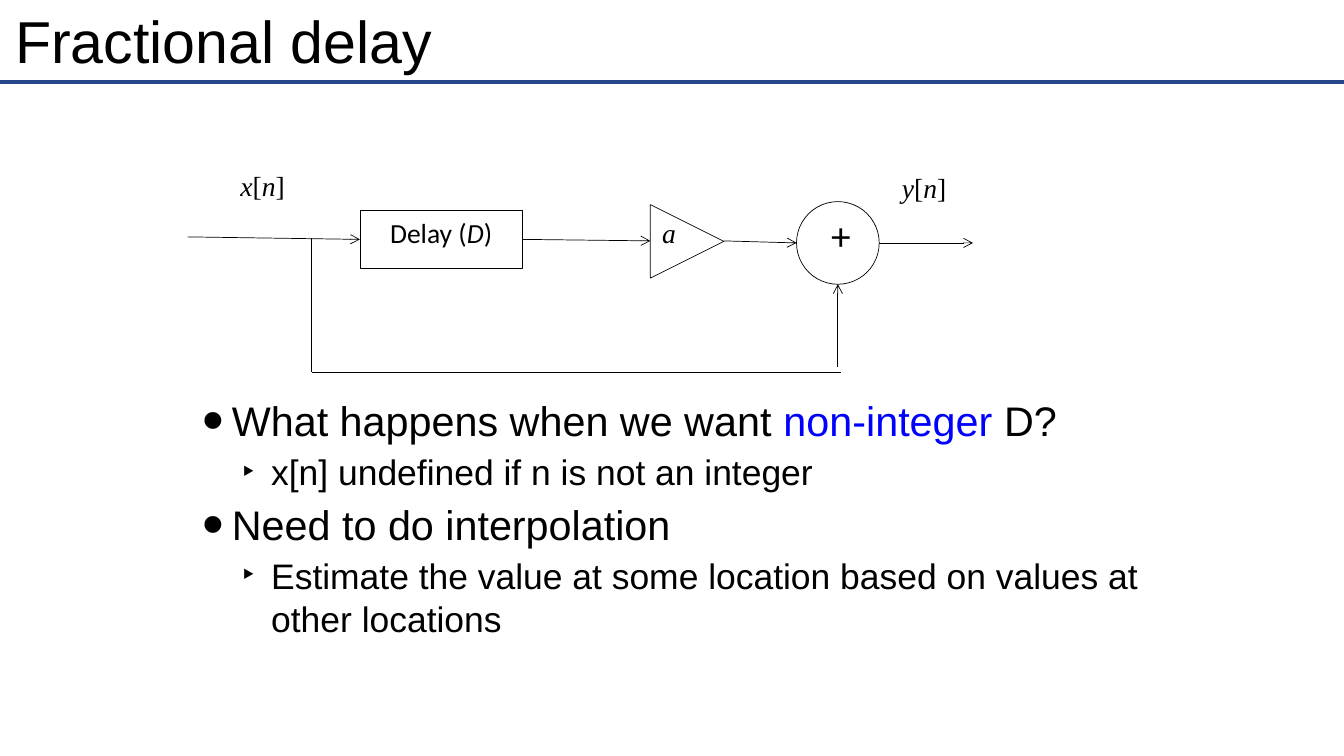
from lxml import etree
from pptx import Presentation
from pptx.dml.color import RGBColor
from pptx.enum import shapes, text
from pptx.oxml import ns
from pptx.util import Inches, Pt

BLACK, BLUE, RULE = "000000", "0000FF", "254789"
SERIF, SANS, BODY = "Times New Roman", "Calibri", "Arial"


def write_runs(paragraph, parts, size, font):
    """Add (text, italic, colour) parts to the paragraph as formatted runs."""
    for words, italic, colour in parts:
        run = paragraph.add_run()
        run.text = words
        run.font.size = Pt(size)
        run.font.name = font
        run.font.italic = italic
        run.font.color.rgb = RGBColor.from_string(colour)


def add_line(start, end, colour=BLACK, width=0.5, arrow=True):
    line = slide.shapes.add_connector(
        shapes.MSO_CONNECTOR.STRAIGHT, *(Inches(value) for value in start + end))
    line.line.color.rgb = RGBColor.from_string(colour)
    line.line.width = Pt(width)
    if arrow:
        etree.SubElement(line.line._get_or_add_ln(), ns.qn("a:tailEnd"), type="arrow")
    etree.SubElement(line._element.spPr, ns.qn("a:effectLst"))
    return line


presentation = Presentation()
presentation.slide_width = Inches(13.33)
presentation.slide_height = Inches(7.5)
slide = presentation.slides.add_slide(presentation.slide_layouts[1])

# Title and list placeholders
title, body = slide.placeholders
for placeholder, box in ((title, (0.09, 0.04, 13.14, 0.71)), (body, (1.75, 3.86, 9.85, 3.58))):
    placeholder.left, placeholder.top, placeholder.width, placeholder.height = map(Inches, box)
    frame = placeholder.text_frame
    frame.auto_size = text.MSO_AUTO_SIZE.NONE
    frame.word_wrap = True
    frame.margin_left = frame.margin_right = frame.margin_top = frame.margin_bottom = Inches(0.06)

title.text_frame.vertical_anchor = text.MSO_ANCHOR.MIDDLE
heading = title.text_frame.paragraphs[0]
heading.alignment = text.PP_ALIGN.LEFT
write_runs(heading, [("Fractional delay", False, BLACK)], 42.2, BODY)
add_line((0, 0.81), (13.33, 0.81), RULE, 3, arrow=False)

# Level: bullet, bullet size in percent, left indent, text size
LEVELS = [("•", 150, 0.49, 29.5), ("‣", 100, 0.88, 25.3)]
points = [
    (0, [("What happens when we want ", False, BLACK), ("non-integer ", False, BLUE),
         ("D?", False, BLACK)]),
    (1, [("x[n] undefined if n is not an integer", False, BLACK)]),
    (0, [("Need to do interpolation", False, BLACK)]),
    (1, [("Estimate the value at some location based on values at other locations",
          False, BLACK)]),
]
for index, (level, parts) in enumerate(points):
    frame = body.text_frame
    paragraph = frame.add_paragraph() if index else frame.paragraphs[0]
    bullet, percent, indent, size = LEVELS[level]
    paragraph.level = level
    paragraph.space_before = Pt(4.2 if index else 0)
    properties = paragraph._p.get_or_add_pPr()
    properties.set("marL", str(Inches(indent)))
    properties.set("indent", str(Inches(-0.29)))
    etree.SubElement(properties, ns.qn("a:buSzPct"), val=str(percent * 1000))
    etree.SubElement(properties, ns.qn("a:buFont"), typeface=BODY)
    etree.SubElement(properties, ns.qn("a:buChar"), char=bullet)
    write_runs(paragraph, parts, size, BODY)

# Blocks of the signal diagram
blocks = {}
for name, kind, box in (
        ("adder", shapes.MSO_SHAPE.OVAL, (7.9, 2, 0.82, 0.82)),
        ("delay", shapes.MSO_SHAPE.RECTANGLE, (3.57, 2.09, 1.61, 0.57)),
        ("gain", shapes.MSO_SHAPE.ISOSCELES_TRIANGLE, (6.45, 2.03, 0.73, 0.73))):
    shape = slide.shapes.add_shape(kind, *map(Inches, box))
    shape.shadow.inherit = False
    shape.fill.background()
    shape.line.color.rgb = RGBColor.from_string(BLACK)
    shape.line.width = Pt(0.5)
    blocks[name] = shape
blocks["gain"].rotation = 90

# Signal paths
signal_in = add_line((1.86, 2.35), (3.57, 2.37))
signal_in.end_connect(blocks["delay"], 1)
delay_out = add_line((5.18, 2.37), (6.45, 2.39))
delay_out.begin_connect(blocks["delay"], 3)
add_line((7.18, 2.39), (7.9, 2.41))
add_line((8.72, 2.41), (9.65, 2.41))
add_line((3.09, 2.36), (3.09, 3.69), arrow=False)
add_line((3.09, 3.69), (8.34, 3.69), arrow=False)
add_line((8.31, 3.64), (8.31, 2.82))

# Labels
labels = [((8.08, 2.05, 0.52, 0.76), [("+", False, BLACK)], 28.1, SANS),
          ((6.41, 2.09, 0.45, 0.57), [("a", True, BLACK)], 19.7, SERIF)]
for signal, left, top in (("x", 2.18, 1.63), ("y", 8.74, 1.65)):
    parts = [(signal, True, BLACK), ("[", False, BLACK), ("n", True, BLACK), ("]", False, BLACK)]
    labels.append(((left, top, 0.85, 0.57), parts, 19.7, SERIF))
frames = [(slide.shapes.add_textbox(*map(Inches, box)).text_frame, parts, size, font)
          for box, parts, size, font in labels]
delay_parts = [("Delay (", False, BLACK), ("D", True, BLACK), (")", False, BLACK)]
frames.append((blocks["delay"].text_frame, delay_parts, 19.7, SANS))
for frame, parts, size, font in frames:
    frame.word_wrap = False
    frame.vertical_anchor = text.MSO_ANCHOR.TOP
    frame.paragraphs[0].alignment = text.PP_ALIGN.CENTER
    write_runs(frame.paragraphs[0], parts, size, font)

presentation.save("out.pptx")
